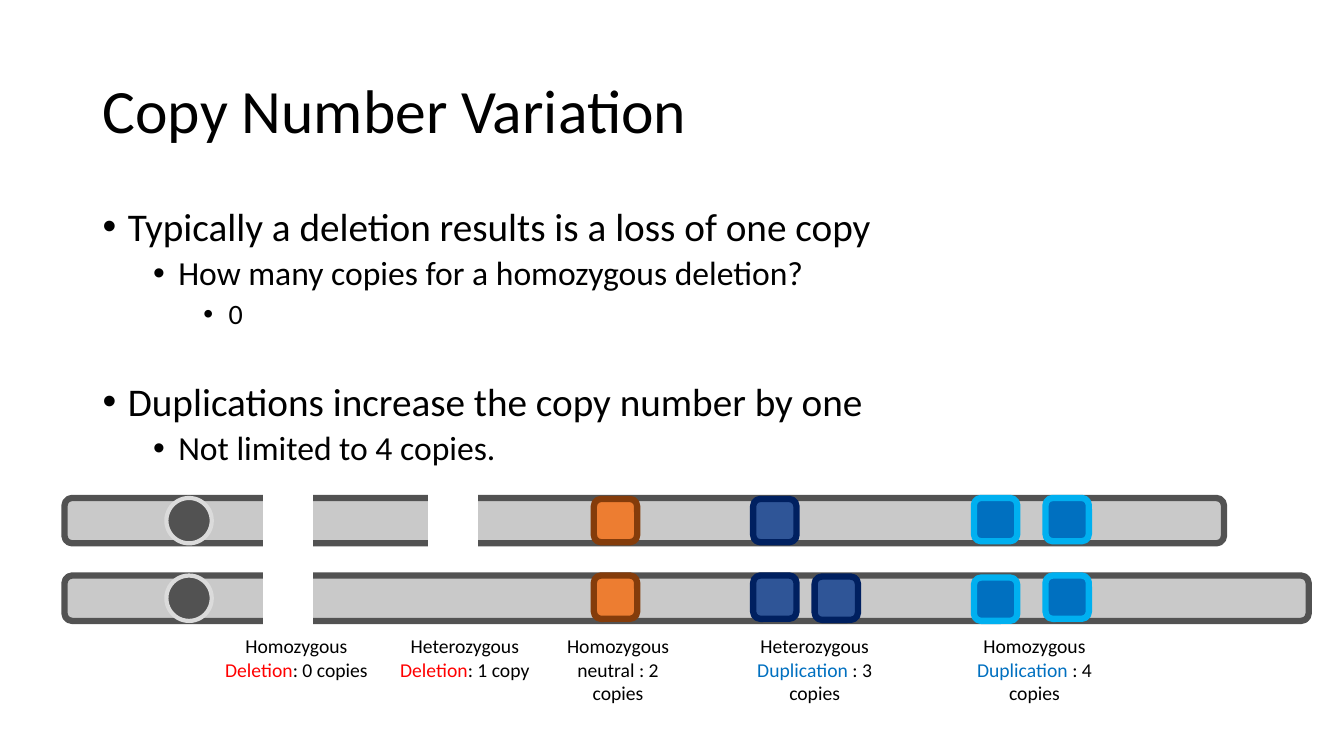
"""Build the Copy Number Variation slide."""
from lxml import etree
from pptx import Presentation
from pptx import util as u
from pptx.dml.color import RGBColor
from pptx.enum import shapes, text
from pptx.oxml.ns import qn

COLORS = {
    "black": "000000", "white": "FFFFFF", "red": "FF0000",
    "arm": "C9C9C9", "arm_edge": "525252", "centromere_edge": "DBDBDB",
    "orange": "ED7D31", "orange_edge": "843C0B",
    "navy": "2F5597", "navy_edge": "002060",
    "blue": "0070C0", "blue_edge": "00B0F0",
}
ROUND = shapes.MSO_SHAPE.ROUNDED_RECTANGLE
OVAL = shapes.MSO_SHAPE.OVAL
RECT = shapes.MSO_SHAPE.RECTANGLE


class Deck:
    """Style and current slide, with one method per kind of element."""

    font = "Calibri"

    def __init__(self, prs):
        self.s = prs.slides.add_slide(prs.slide_layouts[6])

    def color(self, name):
        return RGBColor.from_string(COLORS[name])

    def box(self, at, **frame):
        tf = self.s.shapes.add_textbox(*map(u.Inches, at)).text_frame
        for key, value in {"word_wrap": True, **frame}.items():
            setattr(tf, key, value)
        return tf

    def para(self, p, runs, size, **fmt):
        for key, value in fmt.items():
            setattr(p, key, value)
        for words, color in runs:
            r = p.add_run()
            r.text = words
            for key, value in {"name": self.font, "size": u.Pt(size)}.items():
                setattr(r.font, key, value)
            r.font.color.rgb = self.color(color)

    def title(self, at, words):
        tf = self.box(at, vertical_anchor=text.MSO_ANCHOR.MIDDLE)
        self.para(tf.paragraphs[0], [(words, "black")], 44, line_spacing=0.9)

    def bullets(self, at, items):
        tf = self.box(at)
        for i, (level, before, words) in enumerate(items):
            p = tf.add_paragraph() if i else tf.paragraphs[0]
            pPr = p._p.get_or_add_pPr()
            pPr.set("marL", str(u.Inches(0.25 + 0.5 * level)))
            pPr.set("indent", str(u.Inches(-0.25)))
            etree.SubElement(pPr, qn("a:buFont"), typeface="Arial")
            etree.SubElement(pPr, qn("a:buChar"), char="•")
            self.para(p, [(words, "black")], 28 - 4 * level, level=level,
                      line_spacing=0.9, space_before=u.Pt(before))

    def label(self, at, runs):
        tf = self.box(at)
        self.para(tf.paragraphs[0], runs, 14, alignment=text.PP_ALIGN.CENTER)

    def shape(self, kind, at, fill, edge, width):
        sp = self.s.shapes.add_shape(kind, *map(u.Inches, at))
        sp.shadow.inherit = False
        sp.fill.solid()
        sp.fill.fore_color.rgb = self.color(fill)
        sp.line.color.rgb = self.color(edge)
        sp.line.width = u.Pt(width)


def main():
    prs = Presentation()
    prs.slide_width, prs.slide_height = u.Inches(13.33), u.Inches(7.5)
    d = Deck(prs)
    d.title((0.92, 0.4, 11.5, 1.45), "Copy Number Variation")
    d.bullets((0.92, 2.01, 11.5, 2.8), [
        (0, 0, "Typically a deletion results is a loss of one copy"),
        (1, 5, "How many copies for a homozygous deletion?"),
        (2, 5, "0"),
        (0, 37, "Duplications increase the copy number by one"),
        (1, 5, "Not limited to 4 copies."),
    ])

    top, bottom = 4.94, 5.71
    for y, length in ((top, 11.5), (bottom, 12.34)):
        d.shape(ROUND, (0.64, y, length, 0.45), "arm", "arm_edge", 4.5)
        d.shape(OVAL, (1.65, y, 0.45, 0.45), "arm_edge", "centromere_edge", 3)
    for x, y in ((2.62, 4.81), (2.62, 5.59), (4.25, 4.83)):
        d.shape(RECT, (x, y, 0.48, 0.72), "white", "white", 1)

    genes = {
        "orange": [(5.89, 4.95), (5.89, bottom)],
        "navy": [(7.47, 4.95), (7.47, bottom), (8.08, 5.72)],
        "blue": [(9.66, top), (9.66, 5.73), (10.37, top), (10.37, bottom)],
    }
    for name, places in genes.items():
        for x, y in places:
            d.shape(ROUND, (x, y, 0.43, 0.43), name, name + "_edge", 4.5)

    labels = [
        (2.03, 1.82, 0.57, "Homozygous ", "Deletion", "red", ": 0 copies"),
        (3.85, 1.52, 0.57, "Heterozygous ", "Deletion", "red", ": 1 copy"),
        (5.37, 1.52, 0.81, "Homozygous ", "neutral", "black", " : 2 copies"),
        (7.32, 1.52, 0.81, "Heterozygous ", "Duplication", "blue", " : 3 copies"),
        (9.5, 1.52, 0.81, "Homozygous ", "Duplication", "blue", " : 4 copies"),
    ]
    for x, w, h, zygosity, change, color, count in labels:
        d.label((x, 6.24, w, h),
                [(zygosity, "black"), (change, color), (count, "black")])
    prs.save("out.pptx")


if __name__ == "__main__":
    main()
